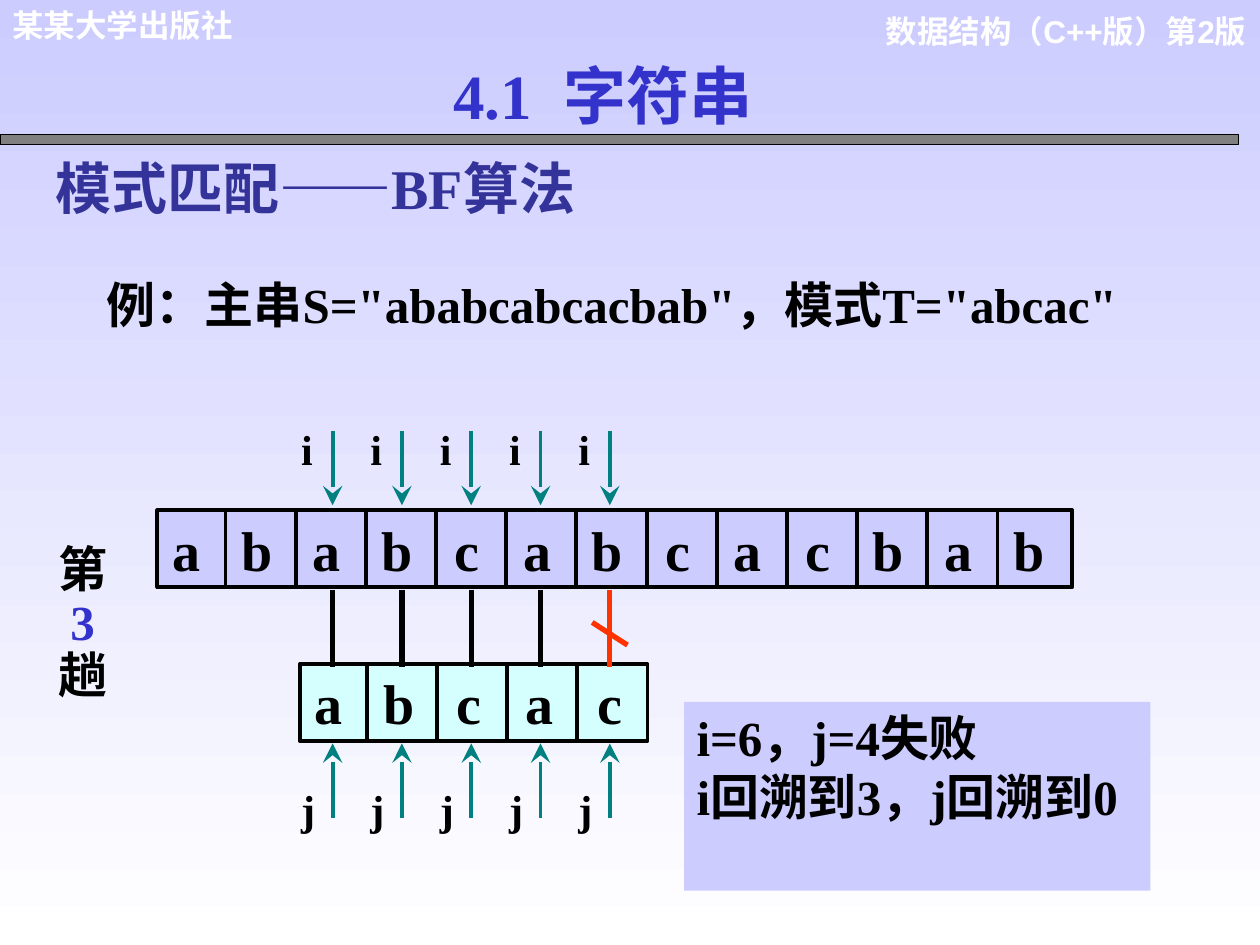
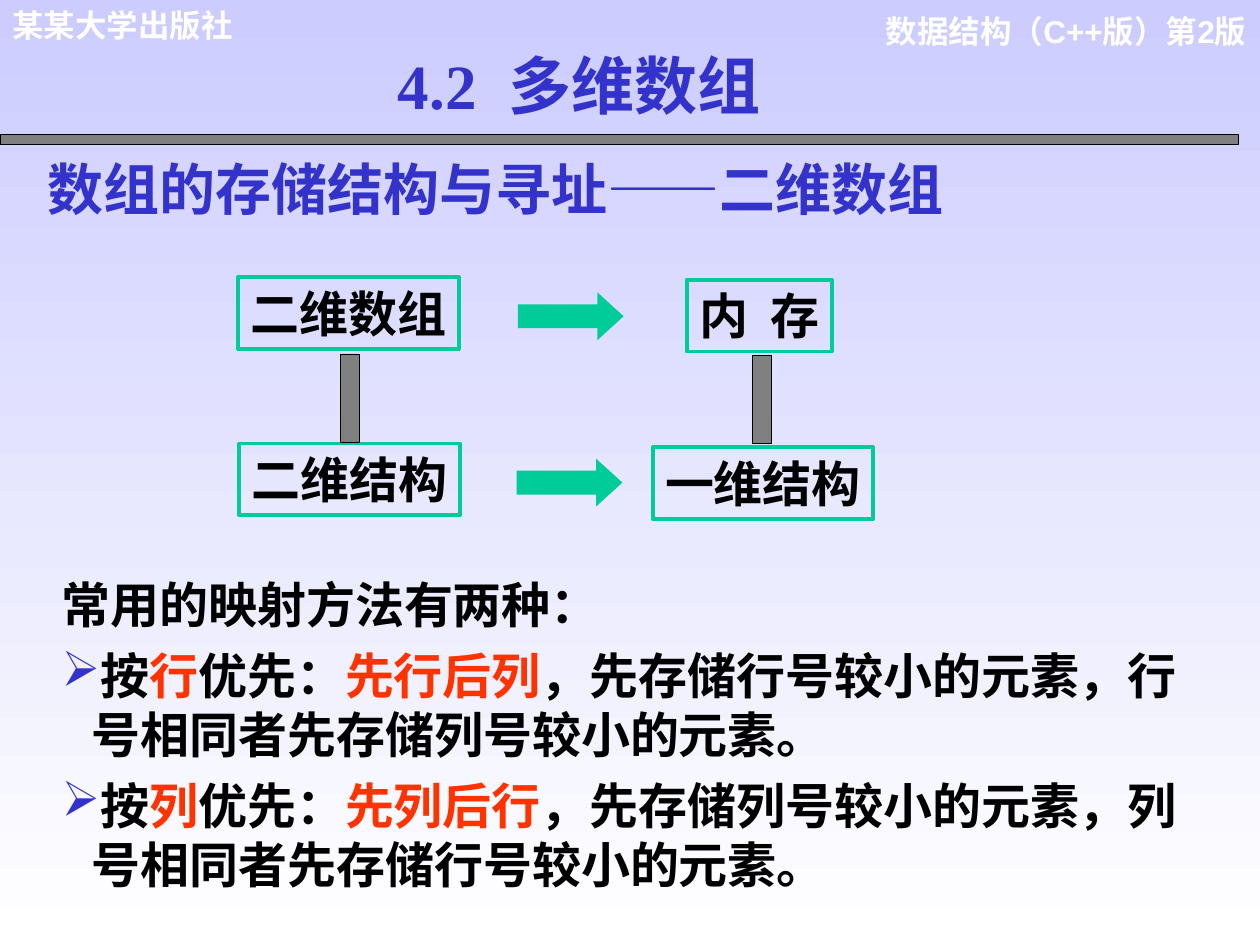
"""Build two data-structure slides: BF string matching and two-dimensional arrays."""
from lxml import etree
from pptx import Presentation
from pptx.dml.color import RGBColor
from pptx.enum.shapes import MSO_CONNECTOR, MSO_SHAPE
from pptx.enum.text import MSO_ANCHOR, PP_ALIGN
from pptx.oxml import parse_xml
from pptx.oxml.ns import nsdecls, qn
from pptx.util import Inches, Pt

RECT, ARROW = MSO_SHAPE.RECTANGLE, MSO_SHAPE.RIGHT_ARROW
STRAIGHT = MSO_CONNECTOR.STRAIGHT
LEFT, CENTER, RIGHT = PP_ALIGN.LEFT, PP_ALIGN.CENTER, PP_ALIGN.RIGHT
TOP, MIDDLE = MSO_ANCHOR.TOP, MSO_ANCHOR.MIDDLE

LAVENDER = RGBColor(0xCC, 0xCC, 0xFF)
WHITE = RGBColor(0xFF, 0xFF, 0xFF)
BLACK = RGBColor(0, 0, 0)
GRAY = RGBColor(0x80, 0x80, 0x80)
BLUE = RGBColor(0x33, 0x33, 0xCC)
NAVY = RGBColor(0x33, 0x33, 0x99)
RED = RGBColor(0xFF, 0x33, 0x00)
TEAL = RGBColor(0x00, 0x80, 0x80)
GREEN = RGBColor(0x00, 0xCC, 0x99)
CYAN = RGBColor(0xD5, 0xFF, 0xFF)

SERIF, SANS, CJK = "Times New Roman", "Arial", "Noto Sans CJK SC"
HEADER = {"size": Pt(18), "name": SANS, "bold": True}
TITLE = {"size": Pt(36), "name": SERIF, "bold": True}
SUBTITLE = {"size": Pt(32), "name": SERIF, "bold": True}
BODY = {"size": Pt(28), "name": SERIF, "bold": True}
LABEL = {"size": Pt(28), "name": SANS, "bold": True}
POINTER = {"size": Pt(24), "name": SERIF, "bold": True}
SHADOW = (f'<a:effectLst {nsdecls("a")}><a:outerShdw dist="38100" dir="2700000">'
          '<a:srgbClr val="808080"/></a:outerShdw></a:effectLst>')


def add_box(s, at, paras=(), fmt=BODY, color=BLACK, align=LEFT, shape=None, fill=None,
            line=None, weight=2.25, anchor=TOP, inset=(0.1, 0.05, 0.1, 0.05), wrap=True):
    at = [Inches(v) for v in at]
    if shape is None:
        sp = s.shapes.add_textbox(*at)
    else:
        sp = s.shapes.add_shape(shape, *at)
        sp.shadow.inherit = False
        if fill is None:
            sp.fill.background()
        else:
            sp.fill.solid()
            sp.fill.fore_color.rgb = fill
        if line is None:
            sp.line.fill.background()
        else:
            sp.line.color.rgb = line
            sp.line.width = Pt(weight)
    tf = sp.text_frame
    tf.word_wrap = wrap
    tf.vertical_anchor = anchor
    for side, v in zip(("left", "top", "right", "bottom"), inset):
        setattr(tf, f"margin_{side}", Inches(v))
    for i, runs in enumerate(paras):
        p = tf.add_paragraph() if i else tf.paragraphs[0]
        p.alignment = align
        for run in [(runs, color)] if isinstance(runs, str) else runs:
            r = p.add_run()
            r.text = run[0]
            for key, v in fmt.items():
                setattr(r.font, key, v)
            r.font.color.rgb = run[1]
            ea = etree.SubElement(r.font._element, qn("a:ea"))
            ea.set("typeface", CJK)
    return sp


def add_line(s, x1, y1, x2, y2, color=BLACK, weight=2.25, arrow=False):
    c = s.shapes.add_connector(STRAIGHT, *[Inches(v) for v in (x1, y1, x2, y2)])
    c.line.color.rgb = color
    c.line.width = Pt(weight)
    sp_pr = c._element.spPr
    if arrow:
        tail = etree.SubElement(sp_pr.find(qn("a:ln")), qn("a:tailEnd"))
        for key, v in {"type": "stealth", "w": "lg", "len": "lg"}.items():
            tail.set(key, v)
    etree.SubElement(sp_pr, qn("a:effectLst"))


prs = Presentation()
prs.slide_width, prs.slide_height = Inches(10), Inches(7.5)
bg = prs.slide_master.background.fill
bg.gradient()
bg.gradient_angle = 270
for stop, color, pos in zip(bg.gradient_stops, (LAVENDER, WHITE), (0, 1)):
    stop.color.rgb = color
    stop.position = pos

slides = []
for title, title_at, subtitle, subtitle_at, color in (
        ("4.1  字符串", (2.93, 0.4, 3.71, 0.7),
         "模式匹配——BF算法", (0.34, 1.17, 8.17, 0.64), NAVY),
        ("4.2  多维数组", (2.02, 0.32, 5.15, 0.7),
         "数组的存储结构与寻址——二维数组", (0.28, 1.18, 8.83, 0.64), BLUE)):
    s = prs.slides.add_slide(prs.slide_layouts[6])
    add_box(s, (6.92, 0.05, 3.07, 0.7), ["数据结构（C++版）第2版"], HEADER, WHITE, RIGHT)
    add_box(s, (0, 0, 2.71, 0.4), ["某某大学出版社"], HEADER, WHITE)
    add_box(s, (0, 1.07, 9.83, 0.08), shape=RECT, fill=GRAY, line=BLACK, weight=0.75)
    add_box(s, subtitle_at, [subtitle], SUBTITLE, color)
    sp = add_box(s, title_at, [title], TITLE, BLUE, CENTER)
    r = sp.text_frame.paragraphs[0].runs[0]
    r.font._element.find(qn("a:solidFill")).addnext(parse_xml(SHADOW))
    slides.append(s)

s = slides[0]
add_box(s, (0.75, 2.13, 8.92, 0.57), ['例：主串S="ababcabcacbab"，模式T="abcac"'])
add_box(s, (0.3, 4.28, 0.71, 1.36), ["第", [("3", BLUE)], "趟"], align=CENTER)
for p in s.shapes[-1].text_frame.paragraphs:
    p.line_spacing = 0.9

PITCH, CELL_H = 0.557, 0.61
for letters, left, top, width, divider, fill in (
        ("ababcabcacbab", 1.25, 4.05, 7.26, 1.79, LAVENDER),
        ("abcac", 2.38, 5.27, 2.76, 2.91, CYAN)):
    sp = add_box(s, (left, top, width, CELL_H), ["\t".join(letters)], SUBTITLE, shape=RECT,
                 fill=fill, line=BLACK, anchor=MIDDLE, inset=(0.12, 0, 0.02, 0))
    tabs = etree.SubElement(sp.text_frame.paragraphs[0]._p.get_or_add_pPr(), qn("a:tabLst"))
    for i in range(1, len(letters)):
        tab = etree.SubElement(tabs, qn("a:tab"))
        tab.set("pos", str(Inches(0.11 + i * PITCH)))
        tab.set("algn", "ctr")
        x = divider + (i - 1) * PITCH
        add_line(s, x, top, x, top + CELL_H)

for i in range(5):
    x = 2.64 + i * 0.55
    failed = i == 4
    add_line(s, x, 4.68, x, 5.29, RED if failed else BLACK, 3)
    if failed:
        add_line(s, x - 0.14, 4.94, x + 0.14, 5.12, RED, 3)
    for name, y1, y2, label_y in (("i", 3.42, 4.01, 3.31), ("j", 6.49, 5.9, 6.17)):
        add_line(s, x, y1, x, y2, TEAL, arrow=True)
        add_box(s, (x - 0.25, label_y, 0.25, 0.5), [name], POINTER, inset=(0, 0.05, 0, 0.05))
add_box(s, (5.43, 5.57, 3.7, 1.5), ["i=6，j=4失败", "i回溯到3，j回溯到0"],
        shape=RECT, fill=LAVENDER)

s = slides[1]
for label, left, top, width in (("二维数组", 1.89, 2.2, 1.75), ("内  存", 5.45, 2.22, 1.15),
                                ("二维结构", 1.9, 3.52, 1.75), ("一维结构", 5.18, 3.55, 1.75)):
    add_box(s, (left, top, width, 0.57), [label], LABEL, align=CENTER, shape=RECT,
            line=GREEN, wrap=False)
for left, top in ((4.11, 2.32), (4.1, 3.64)):
    sp = add_box(s, (left, top, 0.84, 0.38), shape=ARROW, fill=GREEN)
    sp.adjustments[1] = 0.55
for left, top in ((2.7, 2.81), (5.97, 2.82)):
    add_box(s, (left, top, 0.15, 0.7), shape=RECT, fill=GRAY, line=BLACK, weight=0.5)

methods = [[("按", BLACK), (key, RED), ("优先：", BLACK), (f"先{key}后{other}", RED),
            (f"，先存储{key}号较小的元素，{key}号相同者先存储{other}号较小的元素。", BLACK)]
           for key, other in ("行列", "列行")]
sp = add_box(s, (0.39, 4.51, 9.08, 2.63), ["常用的映射方法有两种：", *methods])
for p in sp.text_frame.paragraphs[1:]:
    p.space_before = Pt(7)
    p_pr = p._p.get_or_add_pPr()
    p_pr.set("marL", str(Inches(0.24)))
    p_pr.set("indent", str(Inches(-0.24)))
    bullet_color = etree.SubElement(p_pr, qn("a:buClr"))
    etree.SubElement(bullet_color, qn("a:srgbClr")).set("val", str(BLUE))
    etree.SubElement(p_pr, qn("a:buChar")).set("char", "➢")
    p.runs[3].font.name = CJK

prs.save("out.pptx")
